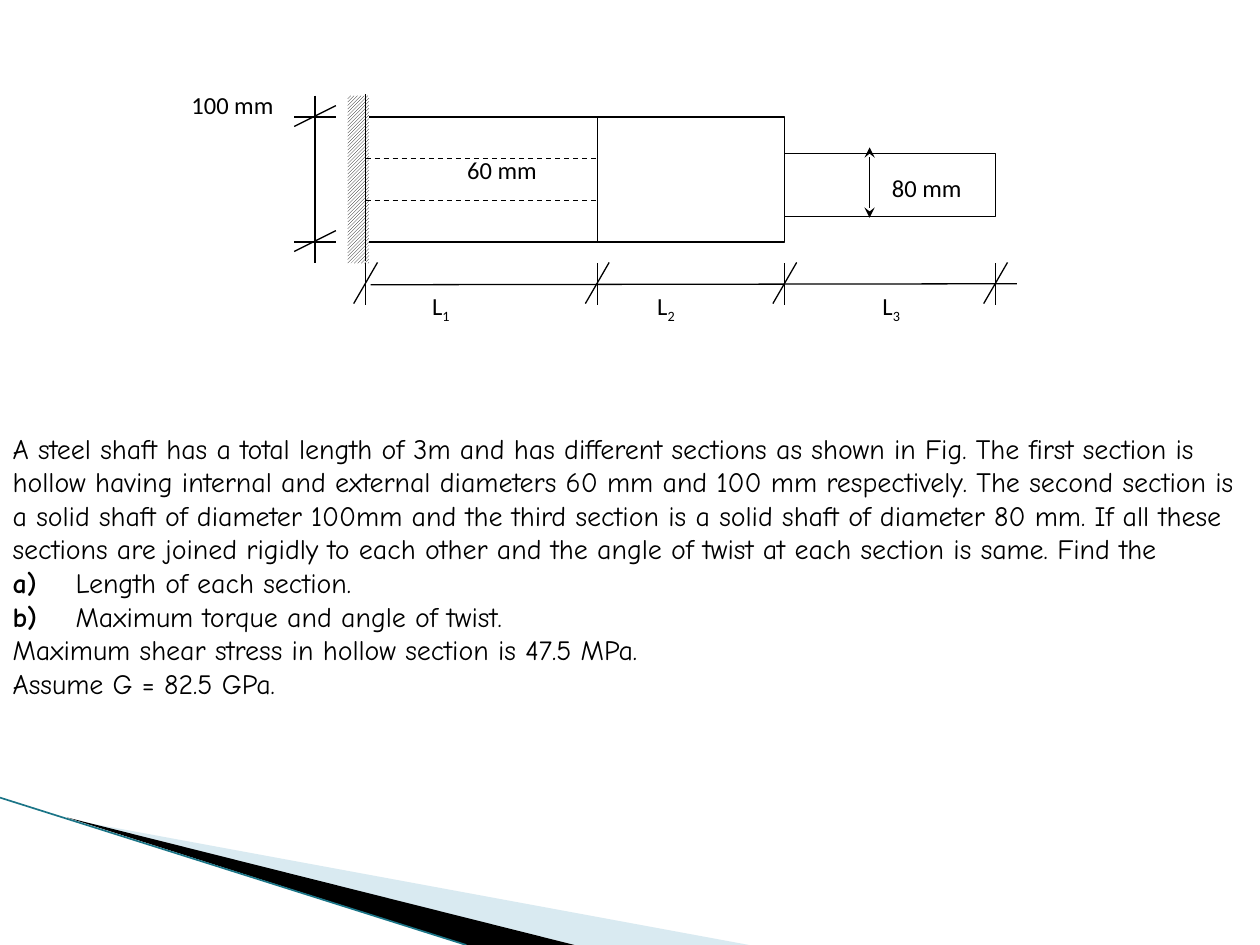
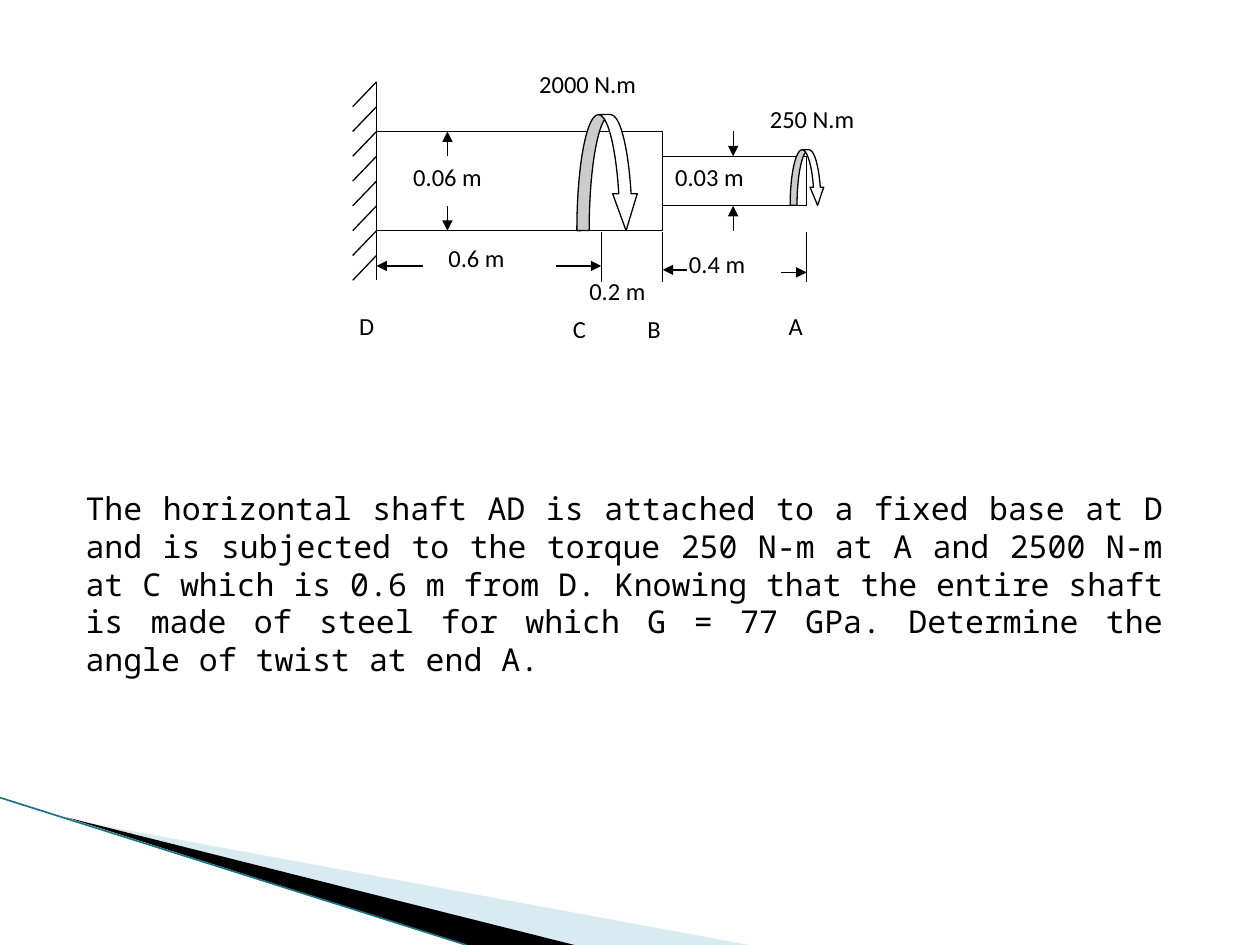
from dataclasses import dataclass

import lxml.etree
import pptx
import pptx.dml.color
import pptx.enum.dml
import pptx.enum.shapes
import pptx.enum.text
import pptx.oxml.ns
import pptx.presentation
import pptx.shapes.autoshape
import pptx.slide
import pptx.text.text
import pptx.util

Cm = pptx.util.Cm
Pt = pptx.util.Pt
qn = pptx.oxml.ns.qn
RGBColor = pptx.dml.color.RGBColor
ShapeType = pptx.enum.shapes.MSO_SHAPE
Anchor = pptx.enum.text.MSO_ANCHOR
Align = pptx.enum.text.PP_ALIGN

BLACK = RGBColor(0x00, 0x00, 0x00)
WHITE = RGBColor(0xFF, 0xFF, 0xFF)
PALE_BLUE = RGBColor(0xA0, 0xCB, 0xDC)
TEAL = RGBColor(0x1B, 0x75, 0x87)

LABEL_FONT = "Calibri"
LINE_WIDTH = 0.75
LIST_TAB = 1.06


@dataclass(frozen=True)
class Line:
    x1: float
    y1: float
    x2: float
    y2: float
    head: str = ""
    tail: str = ""
    dashed: bool = False
    color: RGBColor = BLACK
    width: float = LINE_WIDTH


@dataclass(frozen=True)
class Box:
    left: float
    top: float
    width: float
    height: float


@dataclass(frozen=True)
class Label:
    text: str
    box: Box
    subscript: str = ""
    inset: bool = True


@dataclass(frozen=True)
class Statement:
    box: Box
    font_name: str
    font_size: float
    paragraphs: tuple[tuple[str, str], ...]
    anchor: Anchor
    alignment: Align


def draw_line(slide: pptx.slide.Slide, line: Line) -> None:
    connector = slide.shapes.add_connector(
        pptx.enum.shapes.MSO_CONNECTOR.STRAIGHT,
        Cm(line.x1), Cm(line.y1), Cm(line.x2), Cm(line.y2))
    connector.line.color.rgb = line.color
    connector.line.width = Pt(line.width)
    if line.dashed:
        connector.line.dash_style = pptx.enum.dml.MSO_LINE.DASH
    properties = connector.element.spPr
    outline = properties.find(qn("a:ln"))
    for tag, kind in (("a:headEnd", line.head), ("a:tailEnd", line.tail)):
        if kind:
            lxml.etree.SubElement(outline, qn(tag), type=kind)
    lxml.etree.SubElement(properties, qn("a:effectLst"))


def draw_lines(slide: pptx.slide.Slide, lines: list[Line]) -> None:
    for line in lines:
        draw_line(slide, line)


def draw_shape(slide: pptx.slide.Slide, box: Box,
               kind: ShapeType = ShapeType.RECTANGLE) -> pptx.shapes.autoshape.Shape:
    shape = slide.shapes.add_shape(
        kind, Cm(box.left), Cm(box.top), Cm(box.width), Cm(box.height))
    shape.shadow.inherit = False
    shape.fill.solid()
    shape.fill.fore_color.rgb = WHITE
    shape.line.color.rgb = BLACK
    shape.line.width = Pt(LINE_WIDTH)
    return shape


def format_font(paragraph: pptx.text.text._Paragraph, name: str, size: float) -> None:
    paragraph.font.name = name
    paragraph.font.size = Pt(size)
    paragraph.font.color.rgb = BLACK


def draw_label(slide: pptx.slide.Slide, label: Label) -> None:
    box = label.box
    frame = slide.shapes.add_textbox(
        Cm(box.left), Cm(box.top), Cm(box.width), Cm(box.height)).text_frame
    frame.word_wrap = True
    if not label.inset:
        frame.margin_left = frame.margin_top = 0
        frame.margin_right = frame.margin_bottom = 0
    paragraph = frame.paragraphs[0]
    paragraph.space_after = Pt(10)
    paragraph.add_run().text = label.text
    if label.subscript:
        run = paragraph.add_run()
        run.text = label.subscript
        run.font._element.set("baseline", "-25000")
    format_font(paragraph, LABEL_FONT, 14)


def write_statement(slide: pptx.slide.Slide, statement: Statement) -> None:
    body = slide.placeholders[1]
    box = statement.box
    body.left, body.top = Cm(box.left), Cm(box.top)
    body.width, body.height = Cm(box.width), Cm(box.height)
    frame = body.text_frame
    frame.word_wrap = True
    frame.auto_size = pptx.enum.text.MSO_AUTO_SIZE.NONE
    frame.vertical_anchor = statement.anchor
    for index, (marker, text) in enumerate(statement.paragraphs):
        paragraph = frame.add_paragraph() if index else frame.paragraphs[0]
        properties = paragraph._p.get_or_add_pPr()
        properties.set("marL", "0")
        properties.set("indent", "0")
        lxml.etree.SubElement(properties, qn("a:buNone"))
        if marker:
            tabs = lxml.etree.SubElement(properties, qn("a:tabLst"))
            lxml.etree.SubElement(tabs, qn("a:tab"), pos=str(Cm(LIST_TAB)), algn="l")
            run = paragraph.add_run()
            run.text = marker
            run.font.bold = True
            text = "\t" + text
        paragraph.add_run().text = text
        paragraph.alignment = statement.alignment
        paragraph.space_before = Pt(0)
        format_font(paragraph, statement.font_name, statement.font_size)


def draw_wedge(slide: pptx.slide.Slide, points: list[tuple[float, float]],
               color: RGBColor, opacity: int = 100) -> None:
    start, *rest = [(Cm(x), Cm(y)) for x, y in points]
    builder = slide.shapes.build_freeform(*start)
    builder.add_line_segments(rest)
    wedge = builder.convert_to_shape()
    wedge.shadow.inherit = False
    wedge.line.fill.background()
    wedge.fill.solid()
    wedge.fill.fore_color.rgb = color
    if opacity < 100:
        fill_color = wedge.element.spPr.find(qn("a:solidFill"))[0]
        lxml.etree.SubElement(fill_color, qn("a:alpha"), val=str(opacity * 1000))


def add_problem_slide(presentation: pptx.presentation.Presentation,
                      statement: Statement) -> pptx.slide.Slide:
    slide = presentation.slides.add_slide(presentation.slide_layouts[1])
    title = slide.shapes.title.element
    title.getparent().remove(title)
    draw_wedge(slide, [(1.4, 16.52), (15.1, 19.05), (11.58, 19.05)], PALE_BLUE, 40)
    draw_wedge(slide, [(1.35, 16.48), (11.58, 19.05), (9.4, 19.05)], BLACK)
    draw_line(slide, Line(0, 16.08, 9.4, 19.05, color=TEAL, width=0.95))
    write_statement(slide, statement)
    return slide


def draw_stepped_shaft(slide: pptx.slide.Slide) -> None:
    wall, hollow_end, solid_end, tip = joints = (7.37, 12.04, 15.82, 20.07)
    top, bore_top, bore_bottom, bottom = (2.36 + 0.84 * step for step in range(4))
    gauge = 6.35

    draw_shape(slide, Box(wall, top, solid_end - wall, bottom - top))
    draw_shape(slide, Box(solid_end, 3.1, tip - solid_end, 1.27))
    support = draw_shape(slide, Box(7.01, 1.93, 0.43, 3.38))
    support.fill.patterned()
    support.fill.pattern = pptx.enum.dml.MSO_PATTERN.LIGHT_UPWARD_DIAGONAL
    support.fill.fore_color.rgb = BLACK
    support.fill.back_color.rgb = WHITE
    support.line.fill.background()

    lines = [
        Line(wall, 1.9, wall, 5.26),
        Line(hollow_end, top, hollow_end, bottom),
        Line(gauge, 1.93, gauge, 5.31),
        Line(7.47, 5.74, 20.5, 5.72),
        Line(17.53, 2.97, 17.53, 4.39, head="stealth", tail="stealth"),
    ]
    lines += [Line(wall, y, hollow_end, y, dashed=True) for y in (bore_top, bore_bottom)]
    for y in (top, bottom):
        lines += [Line(gauge + 0.42, y, gauge - 0.42, y),
                  Line(gauge + 0.42, y - 0.23, gauge - 0.42, y + 0.19)]
    for x in joints:
        lines += [Line(x, 5.31, x, 6.15), Line(x - 0.24, 6.12, x + 0.24, 5.29)]
    draw_lines(slide, lines)

    labels = [
        Label("100 mm", Box(3.61, 1.7, 2.82, 4.04)),
        Label("60 mm", Box(9.42, 3.12, 3.56, 1.27), inset=False),
        Label("80 mm", Box(17.98, 3.48, 1.63, 0.53), inset=False),
    ]
    labels += [Label("L", Box(8.46 + 4.54 * index, 5.74, 2.2, 1.68), str(index + 1))
               for index in range(3)]
    for label in labels:
        draw_label(slide, label)


def draw_torque_shaft(slide: pptx.slide.Slide) -> None:
    point_d, point_c, point_b, point_a = 7.59, 12.12, 13.36, 16.26
    grid = [1.65 + 0.5 * step for step in range(9)]
    wall_top, wall_bottom = grid[0], grid[8]
    thick_top, thin_top, thin_bottom, thick_bottom = grid[2], grid[3], grid[5], grid[6]
    thick_gauge, thin_gauge = 9.02, 14.78

    draw_shape(slide, Box(point_d, thick_top, point_b - point_d, thick_bottom - thick_top))
    draw_shape(slide, Box(point_b, thin_top, point_a - point_b, thin_bottom - thin_top))
    for box, head_length in ((Box(15.93, 3.02, 0.69, 1.12), 0.53),
                             (Box(11.63, 2.31, 1.24, 2.34), 0.6)):
        torque = draw_shape(slide, box, ShapeType.CURVED_DOWN_ARROW)
        for index, value in enumerate((0.2, 0.4, head_length)):
            torque.adjustments[index] = value

    lines = [Line(point_d, wall_top, point_d, wall_bottom)]
    lines += [Line(point_d - 0.48, y + 0.5, point_d, y) for y in grid[:-1]]
    lines += [Line(x, 4.68, x, 5.68) for x in (point_c, point_b, point_a)]
    arrows = (
        (11.2, 5.36, point_c, 5.36),
        (8.53, 5.36, point_d, 5.36),
        (13.84, 5.44, point_b, 5.44),
        (15.75, 5.49, point_a, 5.49),
        (thick_gauge, thin_bottom, thick_gauge, thick_bottom),
        (thick_gauge, thin_top, thick_gauge, thick_top),
        (thin_gauge, thick_top, thin_gauge, thin_top),
        (thin_gauge, thick_bottom, thin_gauge, thin_bottom),
    )
    lines += [Line(*ends, tail="triangle") for ends in arrows]
    draw_lines(slide, lines)

    for text, left, top, width in (
            ("0.6 m", 8.79, 4.78, 2.41), ("0.4 m", 13.64, 4.9, 2.41),
            ("0.2 m", 11.63, 5.44, 2.41), ("0.06 m", 8.08, 3.15, 2.9),
            ("0.03 m", 13.36, 3.15, 2.9), ("250 N.m", 15.27, 1.98, 3.56),
            ("2000 N.m", 10.62, 1.27, 3.56), ("D", 6.99, 6.15, 1.45),
            ("C", 11.3, 6.2, 1.17), ("B", 12.8, 6.2, 1.88), ("A", 15.65, 6.15, 1.45)):
        draw_label(slide, Label(text, Box(left, top, width, 0.99)))


STEPPED_STATEMENT = Statement(
    Box(0, 8.2, 25.4, 6.4), "Comic Neue", 16,
    (("", "A steel shaft has a total length of 3m and has different sections as shown in Fig. "
          "The first section is hollow having internal and external diameters 60 mm and 100 mm "
          "respectively. The second section is a solid shaft of diameter 100mm and the third "
          "section is a solid shaft of diameter 80 mm. If all these sections are joined rigidly "
          "to each other and the angle of twist at each section is same. Find the"),
     ("a)", "Length of each section."),
     ("b)", "Maximum torque and angle of twist."),
     ("", "Maximum shear stress in hollow section is 47.5 MPa."),
     ("", "Assume G = 82.5 GPa.")),
    Anchor.MIDDLE, Align.LEFT)

TORQUE_STATEMENT = Statement(
    Box(1.47, 9.73, 22.23, 4.1), "Noto Sans Mono", 18,
    (("", "The horizontal shaft AD is attached to a fixed base at D and is subjected to the "
          "torque 250 N-m at A and 2500 N-m at C which is 0.6 m from D. Knowing that the entire "
          "shaft is made of steel for which G = 77 GPa. Determine the angle of twist at end A."),),
    Anchor.TOP, Align.JUSTIFY)


def main() -> None:
    presentation = pptx.Presentation()
    presentation.slide_width, presentation.slide_height = Cm(25.4), Cm(19.05)
    draw_stepped_shaft(add_problem_slide(presentation, STEPPED_STATEMENT))
    draw_torque_shaft(add_problem_slide(presentation, TORQUE_STATEMENT))
    presentation.save("out.pptx")


if __name__ == "__main__":
    main()
